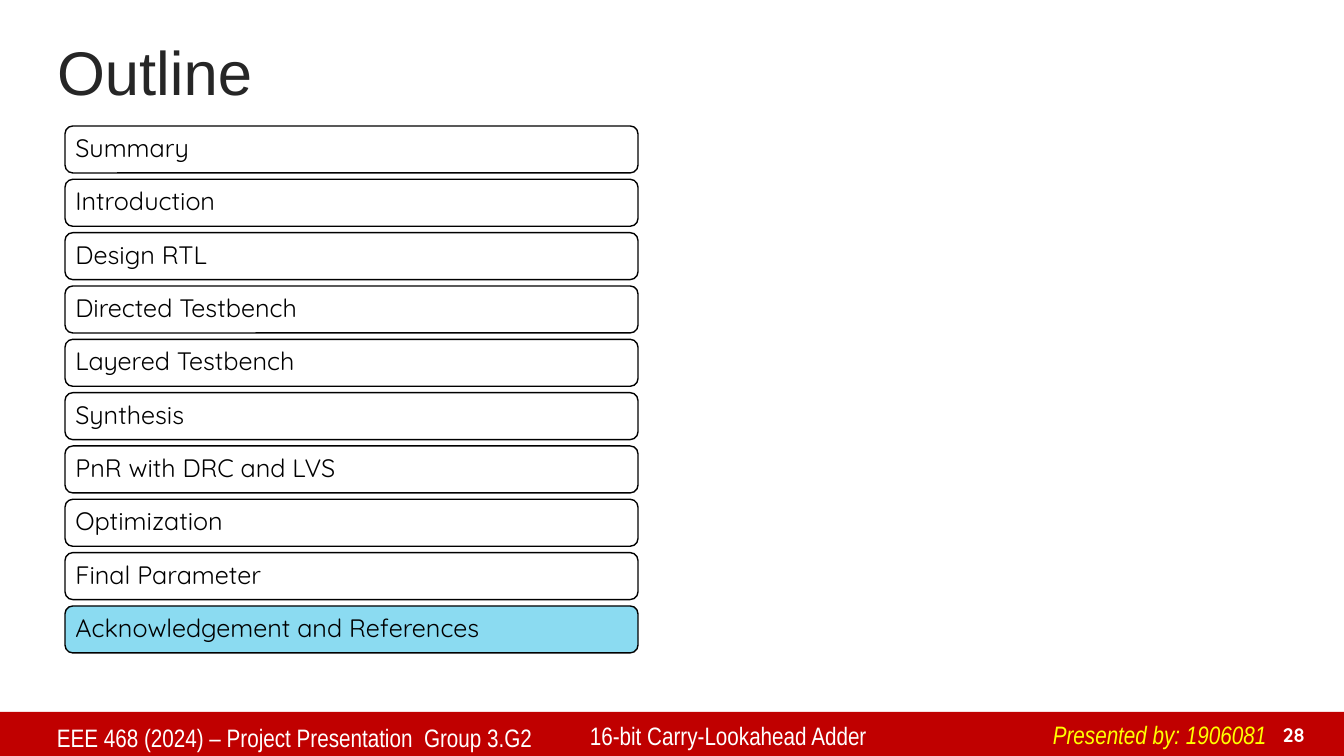
from pptx import Presentation
from pptx.dml.color import RGBColor
from pptx.enum.shapes import MSO_SHAPE
from pptx.enum.text import MSO_ANCHOR, PP_ALIGN
from pptx.util import Pt

WHITE = RGBColor(0xFF, 0xFF, 0xFF)
BLACK = RGBColor(0x00, 0x00, 0x00)
CHARCOAL = RGBColor(0x26, 0x26, 0x26)
RED = RGBColor(0xC0, 0x00, 0x00)
YELLOW = RGBColor(0xFF, 0xFF, 0x00)
SKY = RGBColor(0x8B, 0xDB, 0xF1)

TITLE = "Outline"
TOPICS = [
    "Summary",
    "Introduction",
    "Design RTL",
    "Directed Testbench",
    "Layered Testbench",
    "Synthesis",
    "PnR with DRC and LVS",
    "Optimization",
    "Final Parameter",
    "Acknowledgement and References",
]
CURRENT_TOPIC = "Acknowledgement and References"
FOOTER_TEXTS = [
    ("EEE 468 (2024) – Project Presentation  Group 3.G2", (47, 717, 532, 41), WHITE, False, True),
    ("16-bit Carry-Lookahead Adder", (580, 715, 427, 41), WHITE, False, True),
    ("Presented by: 1906081", (1043, 714, 237, 40), YELLOW, True, False),
]
PAGE_NUMBER = "28"

SLIDE_WIDTH, SLIDE_HEIGHT = 1344, 756
TITLE_BOX = (47, 35, 1109, 81)
FOOTER_BAR = (0, 712, 1344, 45)
PAGE_NUMBER_BOX = (1258, 717, 57, 34)
TOPIC_LEFT, TOPIC_WIDTH, TOPIC_HEIGHT = 65, 573, 47
FIRST_TOPIC_TOP, LAST_TOPIC_TOP = 126, 606


def px(length):
    return round(length * 914400 / 100.8)


def place(box):
    return [px(length) for length in box]


def add_box(slide, preset, box, fill):
    shape = slide.shapes.add_shape(preset, *place(box))
    shape.shadow.inherit = False
    shape.fill.solid()
    shape.fill.fore_color.rgb = fill
    return shape


def write(shape, text, font_name, size, color, align=PP_ALIGN.LEFT):
    shape.text_frame.text = text
    paragraph = shape.text_frame.paragraphs[0]
    paragraph.alignment = align
    paragraph.font.name = font_name
    paragraph.font.size = Pt(size)
    paragraph.font.color.rgb = color
    return paragraph


def add_text(slide, text, box, font_name, size, color, align=PP_ALIGN.LEFT, wrap=True):
    text_box = slide.shapes.add_textbox(*place(box))
    text_box.text_frame.word_wrap = wrap
    return text_box, write(text_box, text, font_name, size, color, align)


def add_title(slide):
    title = slide.shapes.title
    title.left, title.top, title.width, title.height = place(TITLE_BOX)
    title.text_frame.vertical_anchor = MSO_ANCHOR.MIDDLE
    write(title, TITLE, "Arial", 44, CHARCOAL).line_spacing = 0.9


def add_footer(slide):
    add_box(slide, MSO_SHAPE.RECTANGLE, FOOTER_BAR, RED).line.fill.background()
    for text, box, color, italic, wrap in FOOTER_TEXTS:
        _, paragraph = add_text(slide, text, box, "Arial Narrow", 18, color, wrap=wrap)
        paragraph.font.italic = italic
    number_box, paragraph = add_text(
        slide, PAGE_NUMBER, PAGE_NUMBER_BOX, "Quicksand", 14, WHITE, PP_ALIGN.RIGHT
    )
    number_box.text_frame.vertical_anchor = MSO_ANCHOR.BOTTOM
    paragraph.font.bold = True


def add_topics(slide):
    pitch = (LAST_TOPIC_TOP - FIRST_TOPIC_TOP) / (len(TOPICS) - 1)
    for index, topic in enumerate(TOPICS):
        box = (TOPIC_LEFT, FIRST_TOPIC_TOP + index * pitch, TOPIC_WIDTH, TOPIC_HEIGHT)
        fill = SKY if topic == CURRENT_TOPIC else WHITE
        shape = add_box(slide, MSO_SHAPE.ROUNDED_RECTANGLE, box, fill)
        shape.line.color.rgb = BLACK
        shape.line.width = Pt(1)
        frame = shape.text_frame
        frame.vertical_anchor = MSO_ANCHOR.MIDDLE
        frame.margin_left = frame.margin_right = px(8)
        write(shape, topic, "Quicksand", 18, BLACK).line_spacing = 0.9


def main():
    presentation = Presentation()
    presentation.slide_width = px(SLIDE_WIDTH)
    presentation.slide_height = px(SLIDE_HEIGHT)
    slide = presentation.slides.add_slide(presentation.slide_layouts[5])
    add_title(slide)
    add_footer(slide)
    add_topics(slide)
    presentation.save("out.pptx")


if __name__ == "__main__":
    main()
